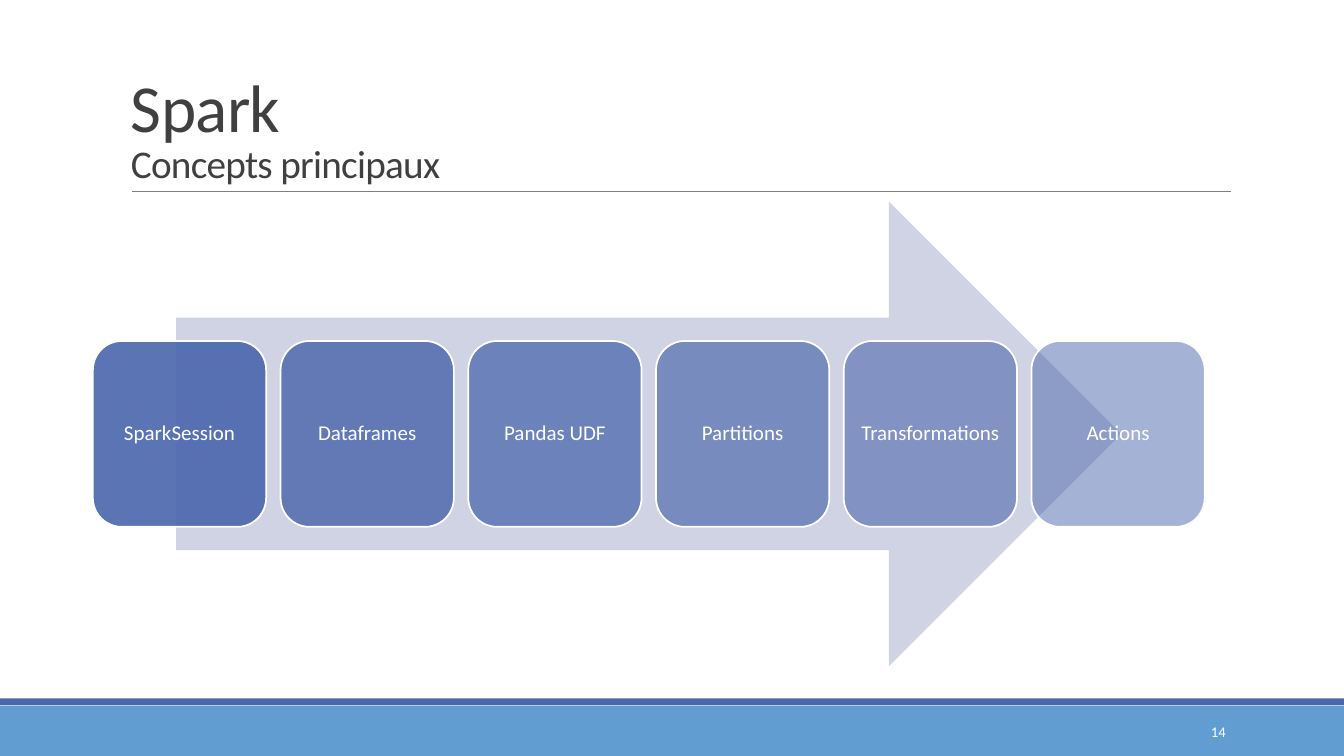
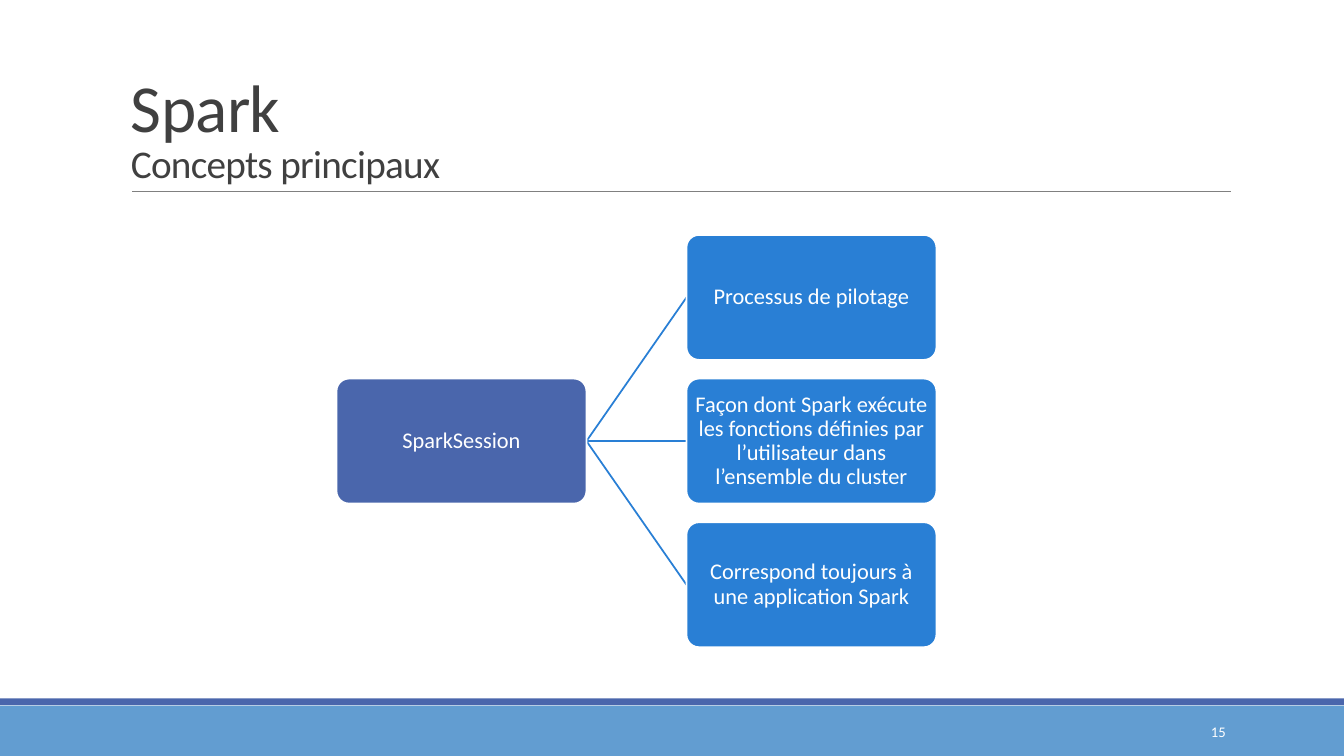
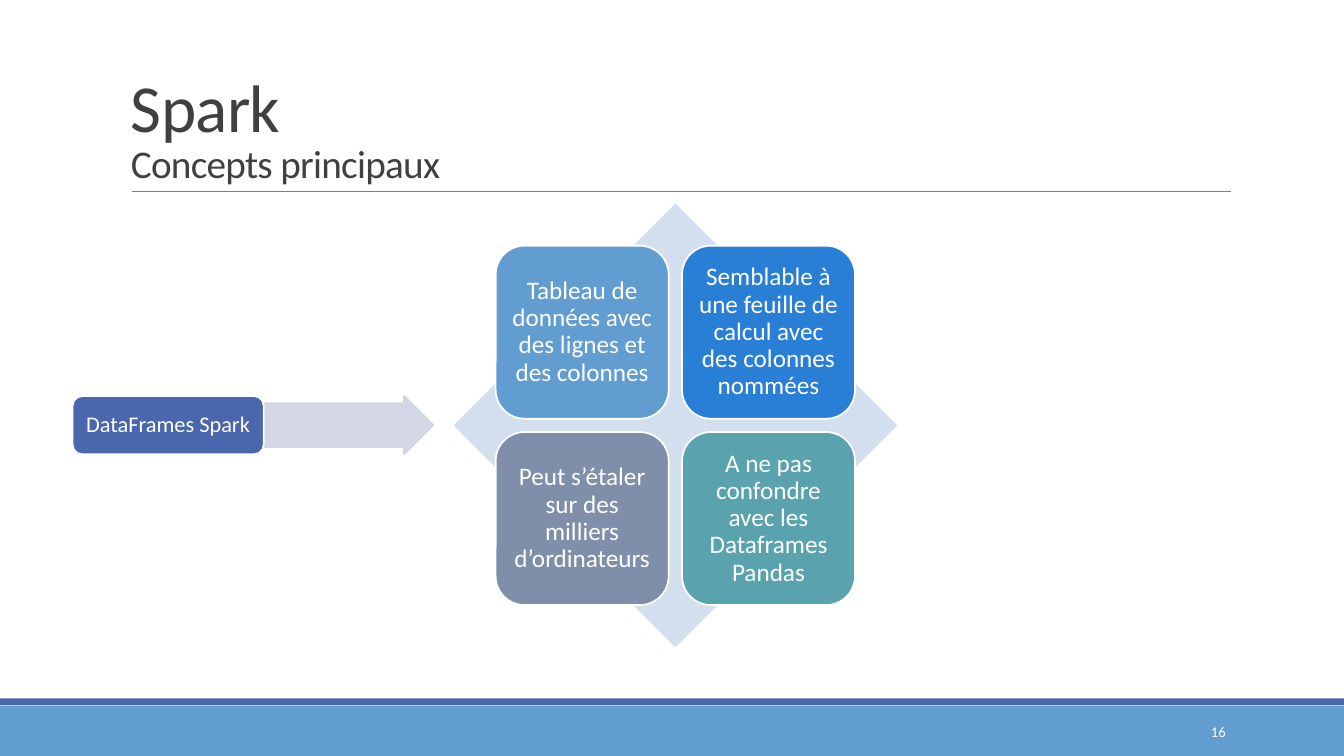
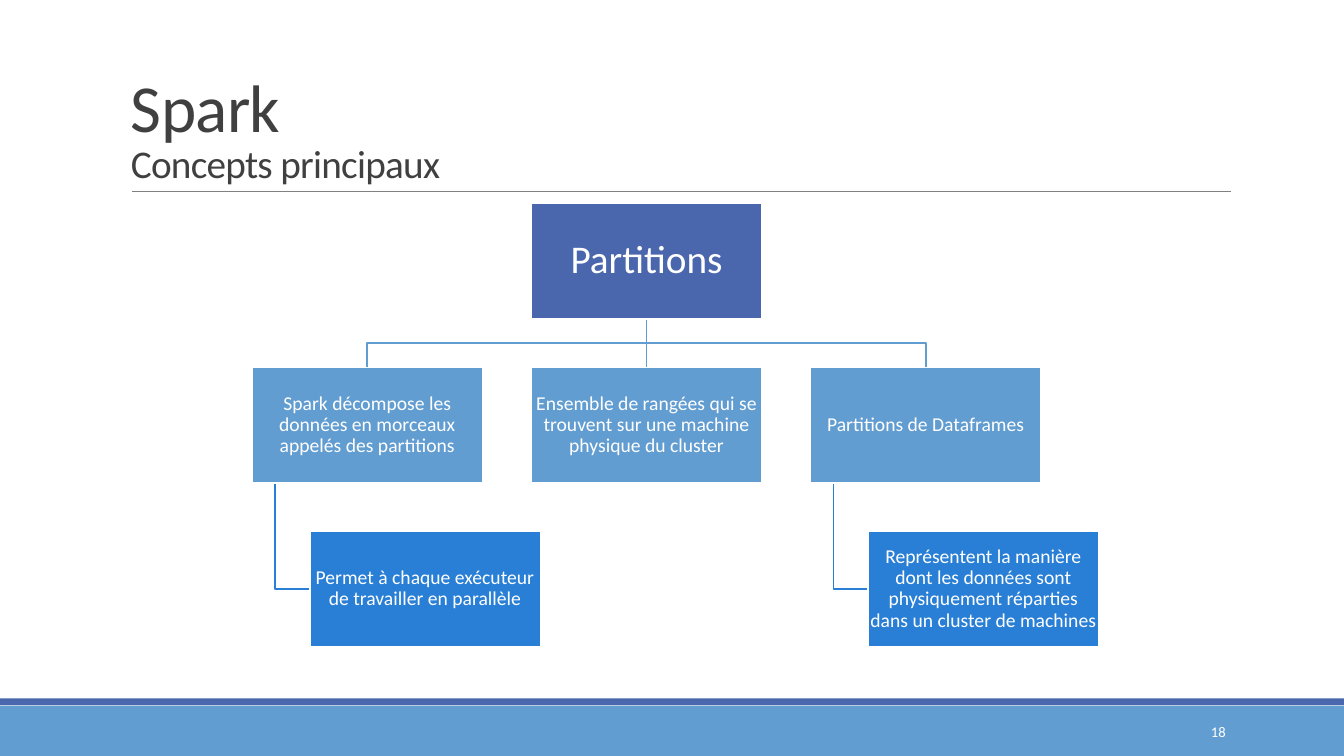
from collections import namedtuple
from dataclasses import dataclass

from lxml.etree import SubElement
from pptx import Presentation
from pptx.dml.color import RGBColor
from pptx.enum.shapes import MSO_CONNECTOR as Connector, MSO_SHAPE as Preset
from pptx.enum.text import MSO_ANCHOR as Anchor, PP_ALIGN as Align
from pptx.oxml.ns import qn
from pptx.util import Cm, Pt


@dataclass(frozen=True)
class Theme:
    font: str = "Calibri"
    # Colours
    white: str = "FFFFFF"
    ink: str = "404040"
    rule: str = "808080"
    indigo: str = "4A66AC"
    sky: str = "629DD1"
    blue: str = "297FD5"
    slate: str = "7F8FA9"
    teal: str = "5AA2AE"
    pale_indigo: str = "D0D3E3"
    pale_blue: str = "D3DFEE"
    # Type sizes and line widths in points
    title: float = 48
    subtitle: float = 28
    root: float = 28
    large: float = 18
    medium: float = 16
    step: float = 15
    small: float = 14
    number: float = 10.5
    outline: float = 1.25
    hairline: float = 0.5


THEME = Theme()


class Box(namedtuple("Box", "left top width height")):
    """A rectangle in centimetres."""

    @property
    def right(self):
        return self.left + self.width

    @property
    def bottom(self):
        return self.top + self.height

    @property
    def center(self):
        return self.left + self.width / 2

    @property
    def middle(self):
        return self.top + self.height / 2

    def lengths(self):
        return [Cm(value) for value in self]

    def portion(self, left, top, width, height):
        """A box inside this one, given as fractions of its sides."""
        return Box(self.left + left * self.width, self.top + top * self.height,
                   width * self.width, height * self.height)


SLIDE_WIDTH, SLIDE_HEIGHT = 33.87, 19.05
TITLE_BOX = Box(3.05, 0.79, 27.94, 4.04)
NUMBER_BOX = Box(27.51, 17.93, 3.63, 1.02)
BANDS = [(Box(0, 17.78, SLIDE_WIDTH, 1.27), THEME.sky),
         (Box(0, 17.6, SLIDE_WIDTH, 0.17), THEME.indigo)]


# Drawing helpers

def apply(target, values):
    for name, value in values.items():
        setattr(target, name, value)


def set_font(run, size, color):
    apply(run.font, {"name": THEME.font, "size": Pt(size)})
    run.font.color.rgb = RGBColor.from_string(color)


def set_line(line, color, width=THEME.outline):
    line.color.rgb = RGBColor.from_string(color)
    line.width = Pt(width)


def set_opacity(fill_owner, percent):
    for color in fill_owner.iter(qn("a:srgbClr")):
        SubElement(color, qn("a:alpha"), val=str(percent * 1000))


def add_preset(slide, preset, box, fill, outline=None, adjustments=(), opacity=100):
    shape = slide.shapes.add_shape(preset, *box.lengths())
    shape.shadow.inherit = False
    for index, value in enumerate(adjustments):
        shape.adjustments[index] = value
    shape.fill.solid()
    shape.fill.fore_color.rgb = RGBColor.from_string(fill)
    if opacity < 100:
        set_opacity(shape.element.spPr, opacity)
    if outline:
        set_line(shape.line, outline)
    else:
        shape.line.fill.background()
    return shape


def add_node(slide, preset, box, text, fill, size, insets=(0.03, 0.03), **options):
    """An outlined shape with centred white text."""
    shape = add_preset(slide, preset, box, fill, THEME.white, **options)
    across, down = map(Cm, insets)
    apply(shape.text_frame, {
        "word_wrap": True, "vertical_anchor": Anchor.MIDDLE,
        "margin_left": across, "margin_right": across,
        "margin_top": down, "margin_bottom": down})
    paragraph = shape.text_frame.paragraphs[0]
    apply(paragraph, {"alignment": Align.CENTER, "line_spacing": 0.9})
    run = paragraph.add_run()
    run.text = text
    set_font(run, size, THEME.white)


def add_line(slide, start, end, color, width=THEME.outline):
    ends = [Cm(value) for value in (*start, *end)]
    connector = slide.shapes.add_connector(Connector.STRAIGHT, *ends)
    set_line(connector.line, color, width)
    SubElement(connector.element.spPr, qn("a:effectLst"))
    return connector


def add_bent_line(slide, points, color):
    start, *others = [(Cm(x), Cm(y)) for x, y in points]
    builder = slide.shapes.build_freeform(*start)
    builder.add_line_segments(others, close=False)
    shape = builder.convert_to_shape()
    shape.shadow.inherit = False
    shape.fill.background()
    set_line(shape.line, color)


def add_text_box(slide, box, anchor):
    frame = slide.shapes.add_textbox(*box.lengths()).text_frame
    apply(frame, {"word_wrap": True, "vertical_anchor": anchor})
    return frame.paragraphs[0]


# Parts that all slides share

def move_decor_to_layout(slide):
    """Draws the bands and the title rule, and hands them to the layout."""
    layout = slide.slide_layout
    for placeholder in list(layout.placeholders):
        layout.shapes.element.remove(placeholder.element)
    decor = [add_preset(slide, Preset.RECTANGLE, box, color) for box, color in BANDS]
    decor.append(add_line(slide, (3.33, 4.83), (31.01, 4.83),
                          THEME.rule, THEME.hairline))
    for shape in decor:
        layout.shapes.element.append(shape.element)


def add_title(slide, title, subtitle):
    paragraph = add_text_box(slide, TITLE_BOX, Anchor.BOTTOM)
    paragraph.line_spacing = 0.85
    for index, (text, size) in enumerate([(title, THEME.title),
                                          (subtitle, THEME.subtitle)]):
        if index:
            paragraph.add_line_break()
        run = paragraph.add_run()
        run.text = text
        set_font(run, size, THEME.ink)
        run.font._element.set("spc", "-50")


def add_number(slide, number):
    paragraph = add_text_box(slide, NUMBER_BOX, Anchor.MIDDLE)
    paragraph.alignment = Align.RIGHT
    run = paragraph.add_run()
    run.text = str(number)
    set_font(run, THEME.number, THEME.white)


# Diagrams

def draw_process(slide, box, steps):
    """A row of ever lighter cards over a wide arrow."""
    add_preset(slide, Preset.RIGHT_ARROW, box.portion(0.075, 0, 0.85, 1),
               THEME.pale_indigo)
    count = len(steps)
    gap_ratio = 1 / 12
    width = 1 / (count + (count - 1) * gap_ratio)
    for index, text in enumerate(steps):
        card = box.portion(index * width * (1 + gap_ratio), 0.3, width, 0.4)
        add_node(slide, Preset.ROUNDED_RECTANGLE, card, text, THEME.indigo,
                 THEME.step, (0.15, 0.15), opacity=90 - 8 * index)


def draw_fan(slide, box, root_text, branches):
    """One root on the left, joined to a column of branches."""
    width = box.width / 2.4
    height = width / 2
    pitch = (box.height - height) / (len(branches) - 1)
    root = Box(box.left, box.middle - height / 2, width, height)
    nodes = [(root, root_text, THEME.indigo)]
    for index, text in enumerate(branches):
        branch = Box(box.right - width, box.top + index * pitch, width, height)
        add_line(slide, (root.right, root.middle), (branch.left, branch.middle),
                 THEME.blue)
        nodes.append((branch, text, THEME.blue))
    for node, text, fill in nodes:
        add_node(slide, Preset.ROUNDED_RECTANGLE, node, text, fill,
                 THEME.medium, adjustments=[0.1])


def draw_matrix(slide, box, cells):
    """Two by two cards over a diamond."""
    add_preset(slide, Preset.DIAMOND, box, THEME.pale_blue)
    side, margin, pitch = 0.39, 0.095, 0.42
    for index, (text, fill) in enumerate(cells):
        row, column = divmod(index, 2)
        card = box.portion(margin + column * pitch, margin + row * pitch, side, side)
        add_node(slide, Preset.ROUNDED_RECTANGLE, card, text, fill,
                 THEME.large, (0.18, 0.18))


def draw_pointer(slide, box, text):
    """A label followed by an arrow."""
    share = 0.53
    arrow = add_preset(slide, Preset.RIGHT_ARROW, box.portion(share, 0, 1 - share, 1),
                       THEME.pale_indigo, THEME.pale_indigo, [0.75, 0.5])
    set_opacity(arrow.element.spPr, 90)
    add_node(slide, Preset.ROUNDED_RECTANGLE, box.portion(0, 0, share, 1), text,
             THEME.indigo, THEME.medium, (0.18, 0.08))


def draw_tree(slide, box, root_text, branches):
    """A root over a row of branches, some with one leaf below."""
    gap_ratio, indent_ratio, stem_ratio = 0.21, 0.25, 0.1
    count = len(branches)
    width = box.width / (count + (count - 1) * gap_ratio + indent_ratio)
    height, gap = width / 2, gap_ratio * width

    def place(column, row, indent=0):
        return Box(box.left + column * (width + gap) + indent,
                   box.top + row * (height + gap), width, height)

    root = place((count - 1) / 2, 0)
    nodes = [(root, root_text, THEME.indigo, THEME.root)]
    for column, (text, leaf_text) in enumerate(branches):
        branch = place(column, 1)
        nodes.append((branch, text, THEME.sky, THEME.small))
        start, end = (root.center, root.bottom), (branch.center, branch.top)
        if column == (count - 1) / 2:
            add_line(slide, start, end, THEME.sky)
        else:
            bend = root.bottom + gap / 2
            add_bent_line(slide, [start, (root.center, bend),
                                  (branch.center, bend), end], THEME.sky)
        if leaf_text:
            leaf = place(column, 2, indent_ratio * width)
            nodes.append((leaf, leaf_text, THEME.blue, THEME.small))
            stem = branch.left + stem_ratio * width
            add_bent_line(slide, [(stem, branch.bottom), (stem, leaf.middle),
                                  (leaf.left, leaf.middle)], THEME.blue)
    for node, text, fill, size in nodes:
        add_node(slide, Preset.RECTANGLE, node, text, fill, size)


# Slides

def fill_overview(slide):
    draw_process(slide, Box(2.34, 5.08, 28.02, 11.71), [
        "SparkSession", "Dataframes", "Pandas UDF",
        "Partitions", "Transformations", "Actions"])


def fill_session(slide):
    draw_fan(slide, Box(8.48, 5.92, 15.12, 10.39), "SparkSession", [
        "Processus de pilotage",
        "Façon dont Spark exécute les fonctions définies par l’utilisateur "
        "dans l’ensemble du cluster",
        "Correspond toujours à une application Spark"])


def fill_dataframes(slide):
    draw_matrix(slide, Box(11.43, 5.13, 11.18, 11.18), [
        ("Tableau de données avec des lignes et des colonnes", THEME.sky),
        ("Semblable à une feuille de calcul avec des colonnes nommées", THEME.blue),
        ("Peut s’étaler sur des milliers d’ordinateurs", THEME.slate),
        ("A ne pas confondre avec les Dataframes Pandas", THEME.teal)])
    draw_pointer(slide, Box(1.83, 9.98, 9.09, 1.47), "DataFrames Spark")


def fill_partitions(slide):
    draw_tree(slide, Box(6.35, 5.13, 21.34, 11.15), "Partitions", [
        ("Spark décompose les données en morceaux appelés des partitions",
         "Permet à chaque exécuteur de travailler en parallèle"),
        ("Ensemble de rangées qui se trouvent sur une machine physique du cluster",
         None),
        ("Partitions de Dataframes",
         "Représentent la manière dont les données sont physiquement réparties "
         "dans un cluster de machines")])


def main():
    presentation = Presentation()
    apply(presentation, {"slide_width": Cm(SLIDE_WIDTH),
                         "slide_height": Cm(SLIDE_HEIGHT)})
    blank = presentation.slide_layouts[6]
    contents = [(14, fill_overview), (15, fill_session),
                (16, fill_dataframes), (18, fill_partitions)]
    for index, (number, fill_slide) in enumerate(contents):
        slide = presentation.slides.add_slide(blank)
        if index == 0:
            move_decor_to_layout(slide)
        add_title(slide, "Spark", "Concepts principaux")
        fill_slide(slide)
        add_number(slide, number)
    presentation.save("out.pptx")


if __name__ == "__main__":
    main()
